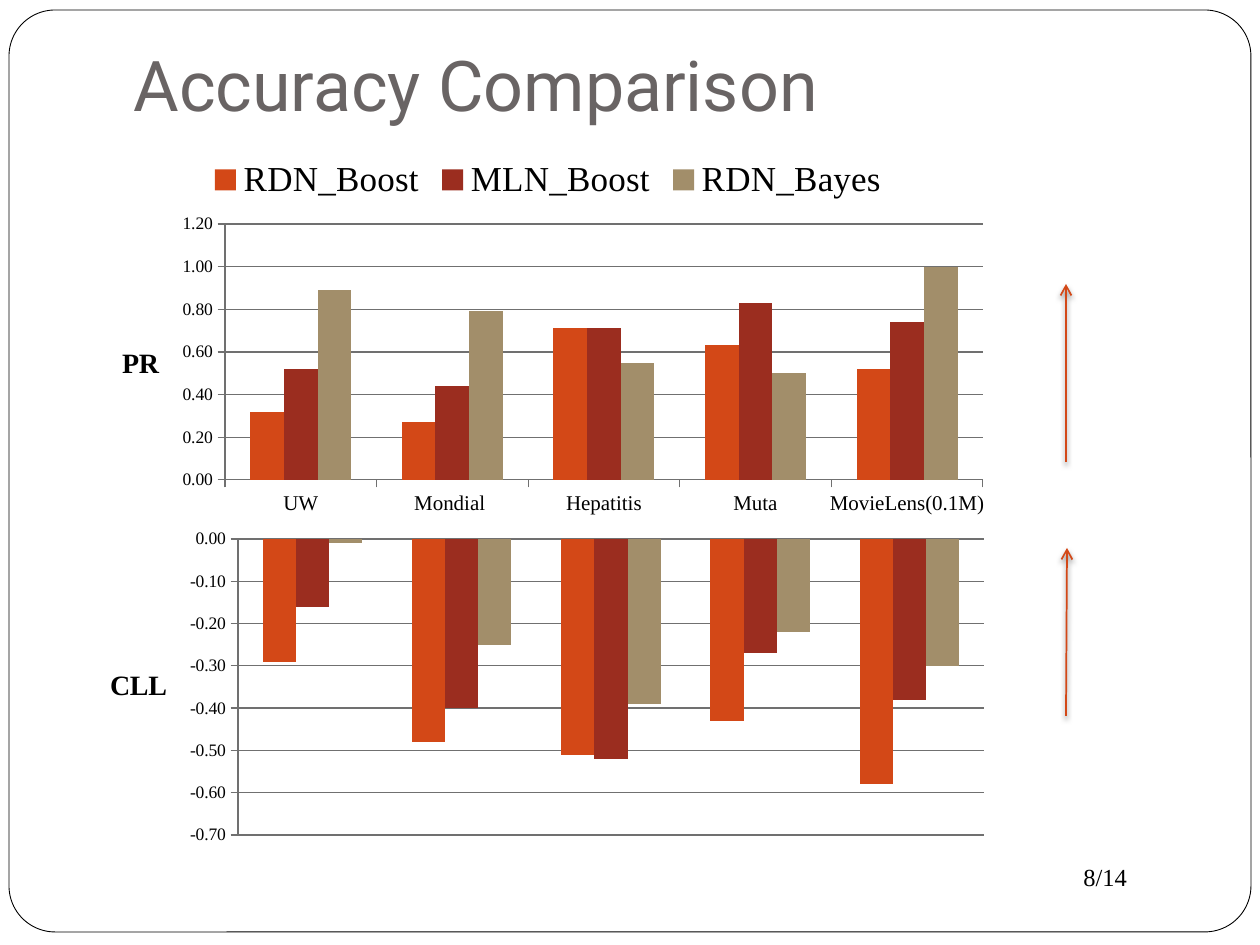
from lxml import etree
from pptx import Presentation
from pptx.chart.data import CategoryChartData
from pptx.dml.color import RGBColor
from pptx.enum.chart import XL_CHART_TYPE as ChartType, XL_LEGEND_POSITION as LegendPos
from pptx.enum.chart import XL_TICK_MARK as Tick
from pptx.enum.shapes import MSO_CONNECTOR as Connector, MSO_SHAPE as Shape
from pptx.enum.text import MSO_ANCHOR as Anchor, PP_ALIGN as Align
from pptx.oxml import parse_xml
from pptx.oxml.ns import nsdecls, qn
from pptx.util import Emu, Pt

EMU_PER_PX = 914400 / 126
BLACK = RGBColor(0x00, 0x00, 0x00)
WHITE = RGBColor(0xFF, 0xFF, 0xFF)
TITLE_GRAY = RGBColor(0x69, 0x64, 0x64)
GRID_GRAY = RGBColor(0x70, 0x70, 0x70)
ORANGE = RGBColor(0xD3, 0x48, 0x17)
RED = RGBColor(0x9B, 0x2D, 0x1F)
TAN = RGBColor(0xA2, 0x8E, 0x6A)
SERIF = "Times New Roman"


def px(n):
    return Emu(round(n * EMU_PER_PX))


def box(*lengths):
    return [px(n) for n in lengths]


def set_font(font, color=BLACK, **values):
    for name, value in values.items():
        setattr(font, name, value)
    font.color.rgb = color


def set_line(line, color, width):
    line.color.rgb = color
    line.width = Pt(width)


def add_frame(s):
    sp = s.shapes.add_shape(Shape.ROUNDED_RECTANGLE, *box(9, 10, 1242, 922))
    sp.adjustments[0] = 0.05
    sp.shadow.inherit = False
    sp.fill.solid()
    sp.fill.fore_color.rgb = WHITE
    set_line(sp.line, BLACK, 0.5)
    # Send behind the title placeholder
    s.shapes._spTree.insert(2, sp._element)


def add_title(s, text):
    sp = s.shapes.title
    sp.left, sp.top, sp.width, sp.height = box(121, -19, 1071, 158)
    tf = sp.text_frame
    tf.vertical_anchor = Anchor.BOTTOM
    tf.margin_bottom = px(13)
    p = tf.paragraphs[0]
    p.alignment = Align.LEFT
    r = p.add_run()
    r.text = text
    set_font(r.font, TITLE_GRAY, name="Roboto", size=Pt(40))


def add_page_number(s, text):
    tf = s.shapes.add_textbox(*box(1071, 856, 126, 43)).text_frame
    tf.word_wrap = True
    r = tf.paragraphs[0].add_run()
    r.text = text
    set_font(r.font, name=SERIF, size=Pt(14))


def place(element, index, frame, area):
    """Fix a chart part at a slide position, as fractions of the chart frame."""
    left, top, width, height = frame
    layout = element.find(qn("c:layout"))
    if layout is None:
        layout = parse_xml(f"<c:layout {nsdecls('c')}/>")
        element.insert(index, layout)
    manual = etree.SubElement(layout, qn("c:manualLayout"))
    values = {"xMode": "edge", "yMode": "edge",
              "x": (area[0] - left) / width, "y": (area[1] - top) / height}
    if len(area) == 4:
        values = {"layoutTarget": "inner", **values,
                  "w": area[2] / width, "h": area[3] / height}
    for name, value in values.items():
        etree.SubElement(manual, qn(f"c:{name}")).set("val", str(value))


def add_bar_chart(s, frame, plot_area, categories, series, scale):
    data = CategoryChartData(number_format="0.00")
    data.categories = categories
    for name, values in series:
        data.add_series(name, values)
    chart = s.shapes.add_chart(ChartType.COLUMN_CLUSTERED, *box(*frame), data).chart
    set_font(chart.font, name=SERIF, size=Pt(10))
    chart.has_title = False
    chart.has_legend = False
    place(chart.plots[0]._element.getparent(), 0, frame, plot_area)

    # Bars
    plot = chart.plots[0]
    plot.gap_width = 150
    plot.vary_by_categories = False
    for bars, color in zip(plot.series, (ORANGE, RED, TAN)):
        bars.invert_if_negative = False
        bars.format.fill.solid()
        bars.format.fill.fore_color.rgb = color

    # Value axis and grid
    axis = chart.value_axis
    for name, value in scale.items():
        setattr(axis, name, value)
    axis.major_tick_mark = Tick.OUTSIDE
    axis.has_major_gridlines = True
    axis.tick_labels.number_format = "0.00"
    axis.tick_labels.number_format_is_linked = False
    for part in (axis, axis.major_gridlines, chart.category_axis):
        set_line(part.format.line, GRID_GRAY, 0.75)
    return chart


def add_axis_title(chart, text, frame, position):
    title = chart.value_axis.axis_title
    tf = title.text_frame
    body = tf._txBody.find(qn("a:bodyPr"))
    body.set("rot", "0")
    body.set("vert", "horz")
    r = tf.paragraphs[0].add_run()
    r.text = text
    set_font(r.font, name=SERIF, size=Pt(16), bold=True)
    place(title._element, 1, frame, position)


def add_legend(chart):
    chart.has_legend = True
    chart.legend.position = LegendPos.TOP
    chart.legend.include_in_layout = False
    set_font(chart.legend.font, name=SERIF, size=Pt(20))


def add_arrow(s, *ends):
    line = s.shapes.add_connector(Connector.STRAIGHT, *box(*ends))
    set_line(line.line, ORANGE, 1)
    etree.SubElement(line.line._get_or_add_ln(), qn("a:tailEnd")).set("type", "arrow")
    line._element.spPr.append(parse_xml(
        f'<a:effectLst {nsdecls("a")}>'
        '<a:outerShdw blurRad="38100" dist="25400" dir="5400000" rotWithShape="0">'
        '<a:srgbClr val="000000"><a:alpha val="50000"/></a:srgbClr>'
        '</a:outerShdw></a:effectLst>'))


def main():
    prs = Presentation()
    prs.slide_width, prs.slide_height = box(1260, 945)
    s = prs.slides.add_slide(prs.slide_layouts[5])
    add_frame(s)
    add_title(s, "Accuracy Comparison")
    add_page_number(s, "8/14")

    # Lower chart: CLL
    frame = (82, 522, 920, 329)
    chart = add_bar_chart(
        s, frame, (238, 539, 746, 296), ["1", "2", "3", "4", "5"],
        [("Series 1", (-0.29, -0.48, -0.51, -0.43, -0.58)),
         ("Series 2", (-0.16, -0.4, -0.52, -0.27, -0.38)),
         ("Series 3", (-0.01, -0.25, -0.39, -0.22, -0.3))],
        {"minimum_scale": -0.7, "maximum_scale": 0, "major_unit": 0.1})
    chart.category_axis.visible = False
    add_axis_title(chart, "CLL", frame, (105, 662))

    # Upper chart: PR
    frame = (94, 144, 908, 378)
    chart = add_bar_chart(
        s, frame, (225, 224, 758, 256),
        ["UW", "Mondial ", "Hepatitis", "Muta", "MovieLens(0.1M)"],
        [("RDN_Boost", (0.32, 0.27, 0.71, 0.63, 0.52)),
         ("MLN_Boost", (0.52, 0.44, 0.71, 0.83, 0.74)),
         ("RDN_Bayes", (0.89, 0.79, 0.55, 0.5, 1))],
        {"minimum_scale": 0, "maximum_scale": 1.2, "major_unit": 0.2})
    chart.category_axis.major_tick_mark = Tick.OUTSIDE
    set_font(chart.category_axis.tick_labels.font, name=SERIF, size=Pt(12))
    add_axis_title(chart, "PR", frame, (117, 340))
    add_legend(chart)

    # Arrows: higher is better
    add_arrow(s, 1066, 462, 1066, 284)
    add_arrow(s, 1066, 716, 1067, 548)
    prs.save("out.pptx")


if __name__ == "__main__":
    main()
